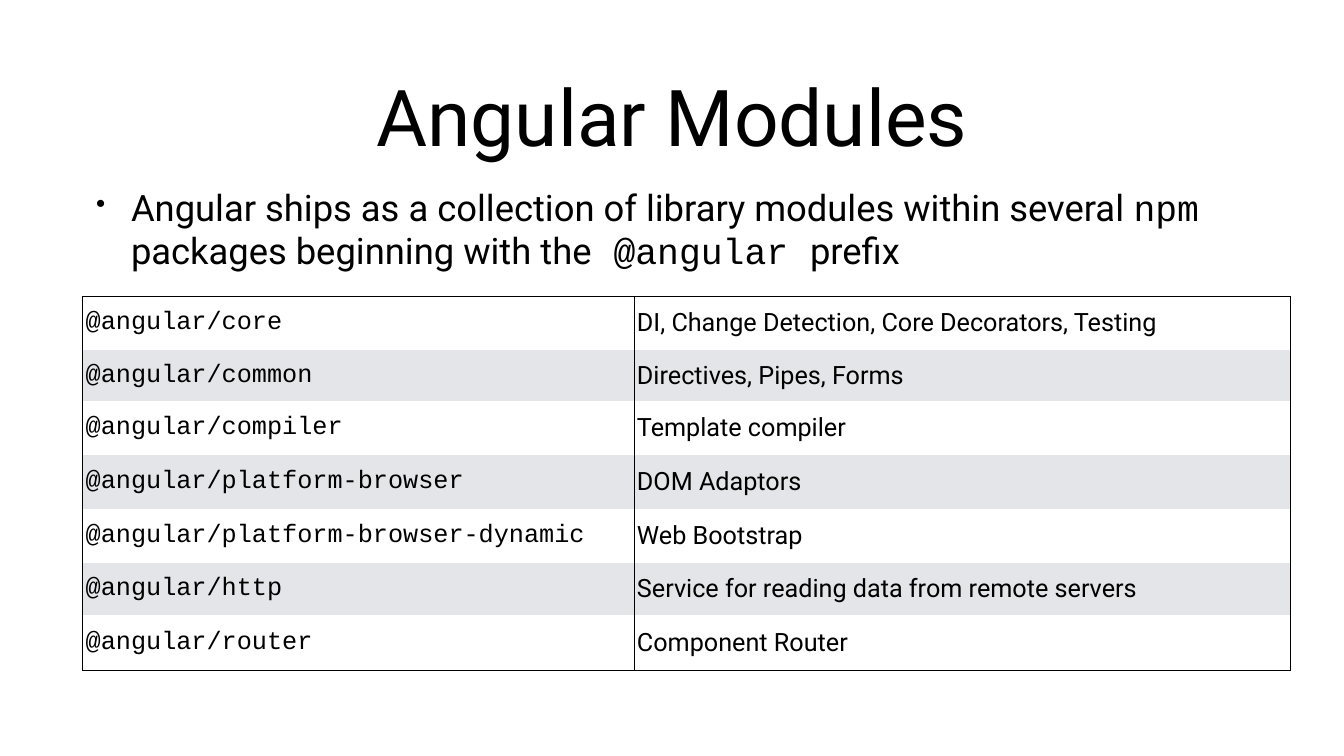
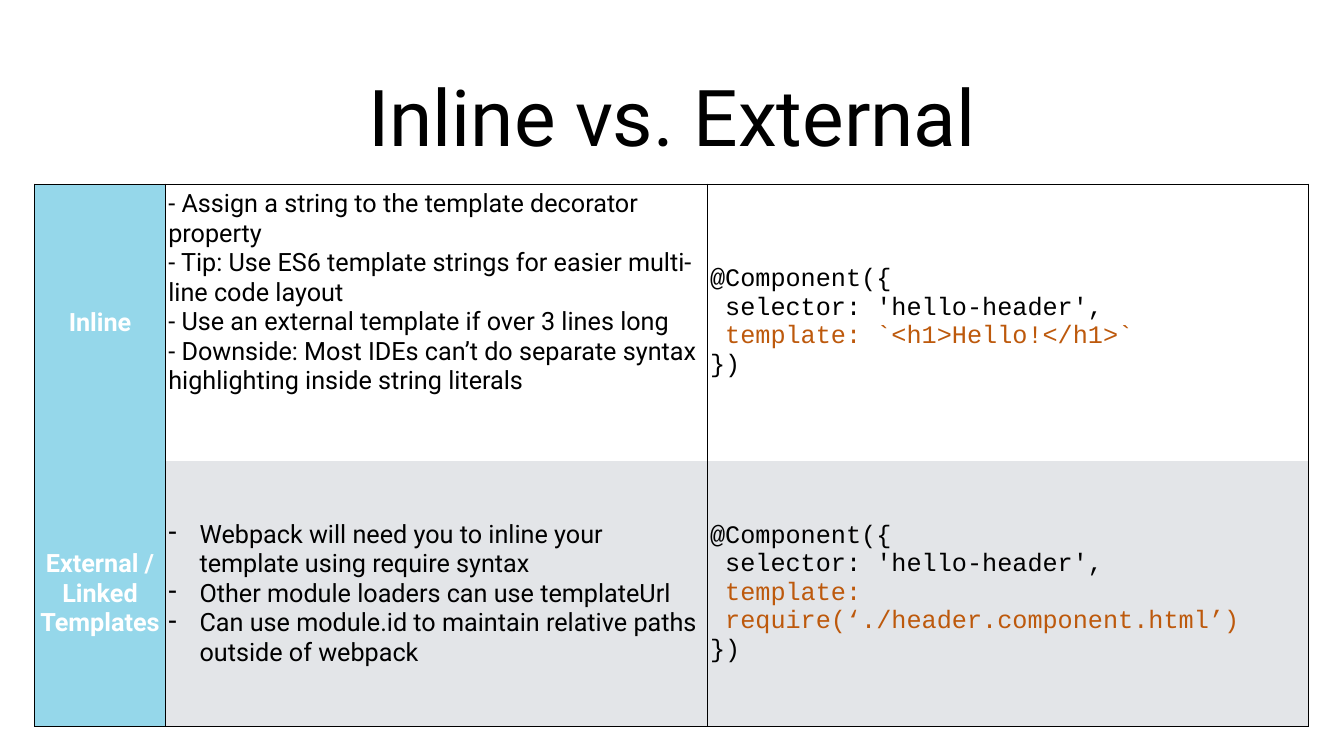
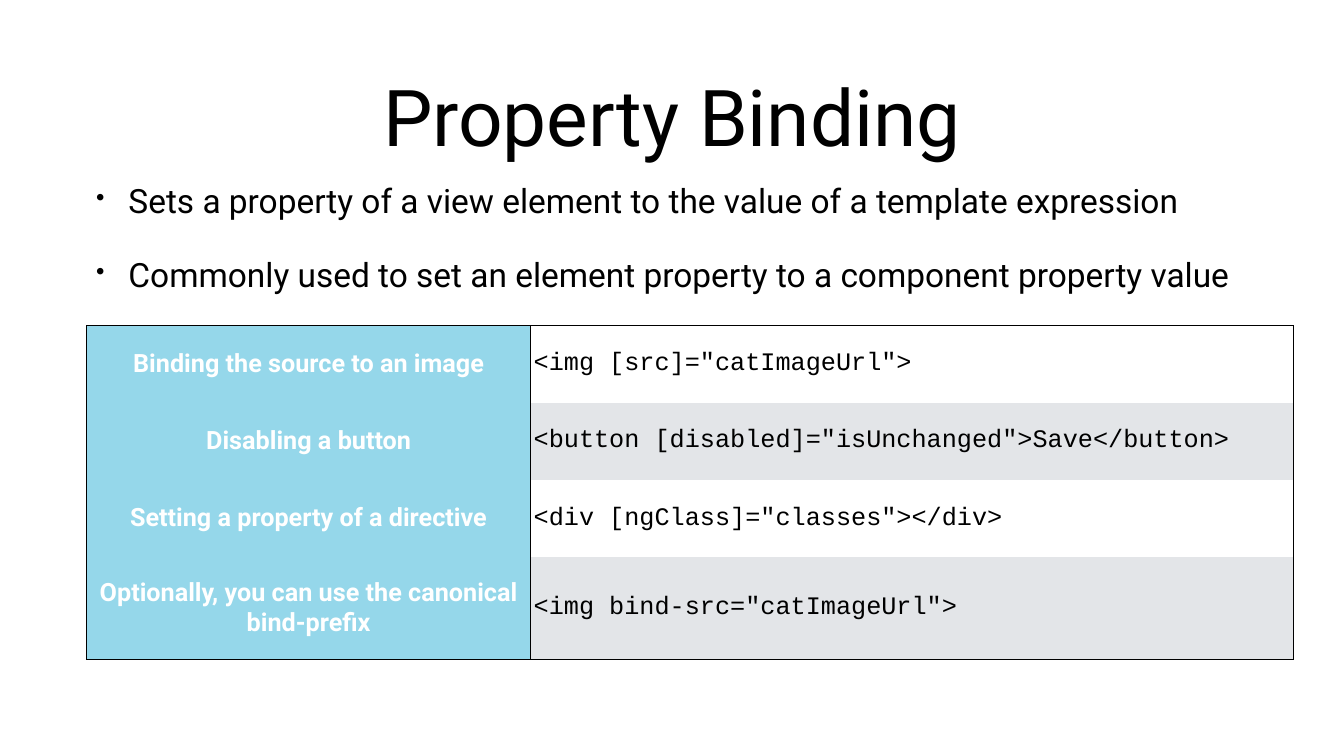
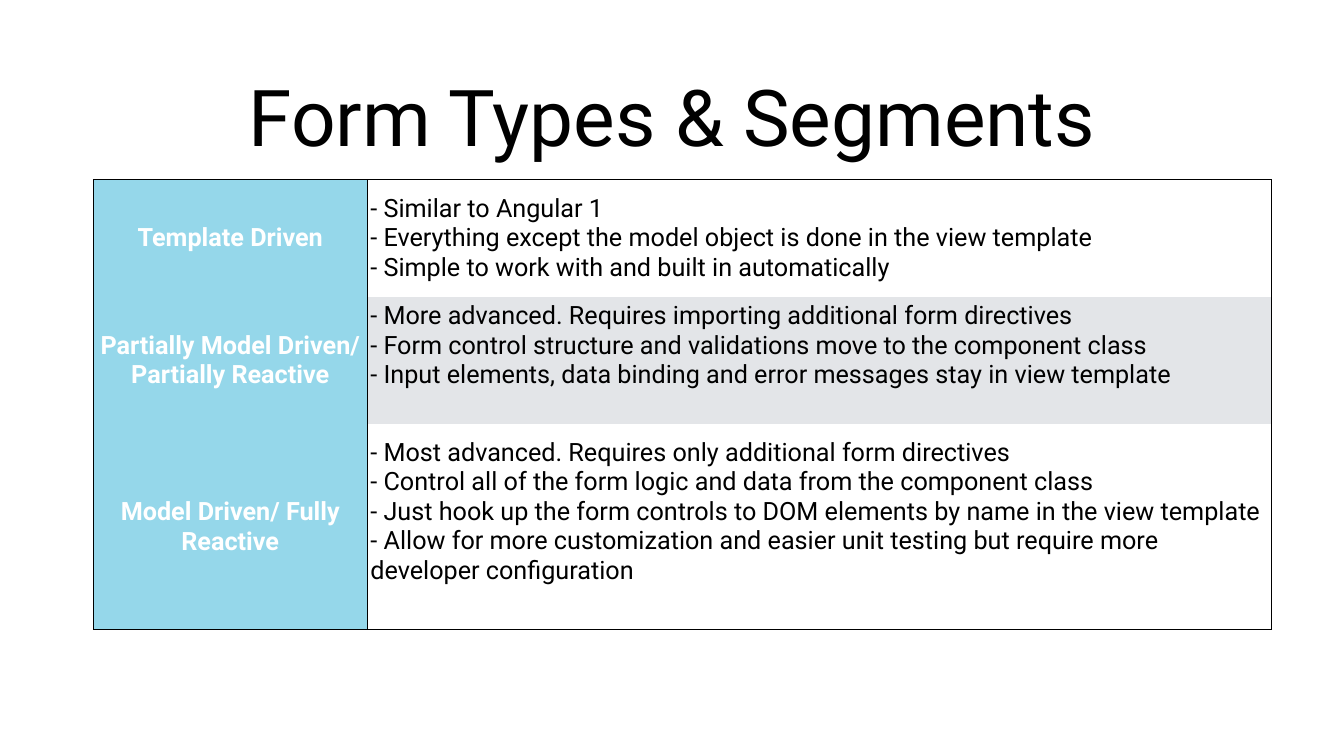
from lxml.etree import SubElement as Sub
from pptx import Presentation
from pptx.dml.color import RGBColor
from pptx.enum.text import MSO_ANCHOR as Anchor, PP_ALIGN as Align
from pptx.oxml.ns import qn
from pptx.util import Inches, Pt

BLACK, WHITE, GREY, BLUE, RUST = "000000", "FFFFFF", "E3E5E8", "95D7EA", "BD590C"
SANS, MONO = "Roboto", "Courier New"
PAD = 0.06
LINE = 0.59  # height of one line of table text
LEFT, WIDE = 1.85, 22.97  # column shared by titles and bullets

PLAIN = dict(size=36)
CODE = dict(size=36, font=MONO)
HEAD = dict(size=36, color=WHITE, bold=True, align=Align.CENTER, fill=BLUE)


def rgb(code):
    return RGBColor.from_string(code)


def add_bullet(para, mark, hang, scale):
    props = para._p.get_or_add_pPr()
    props.set("marL", str(Inches(hang)))
    props.set("indent", str(-Inches(hang)))
    Sub(props, qn("a:buSzPct"), val=str(scale * 1000))
    Sub(props, qn("a:buChar"), char=mark)


def write(frame, text, size=36, font=SANS, color=BLACK, bold=False,
          align=Align.LEFT, mark=None, hang=0, scale=100, gap=0, lead=None):
    """Fill a frame; text is a string of lines, or a list of lines made of (text, format) runs."""
    lines = text.split("\n") if isinstance(text, str) else text
    for i, line in enumerate(lines):
        para = frame.add_paragraph() if i else frame.paragraphs[0]
        para.alignment = align
        if mark:
            add_bullet(para, mark, hang, scale)
        if i and gap:
            para.space_before = Pt(gap)
        if lead:
            para.line_spacing = lead
        for part, style in [(line, {})] if isinstance(line, str) else line:
            run = para.add_run()
            run.text = part
            run.font.size = Pt(size)
            run.font.bold = bold
            run.font.name = style.get("font", font)
            run.font.color.rgb = rgb(style.get("color", color))


def add_text(slide, box, text, **style):
    frame = slide.shapes.add_textbox(*map(Inches, box)).text_frame
    frame.word_wrap = True
    frame.vertical_anchor = Anchor.MIDDLE
    frame.margin_left = frame.margin_right = Inches(PAD)
    frame.margin_top = frame.margin_bottom = Inches(PAD)
    write(frame, text, **style)


def add_page(deck, title):
    slide = deck.slides.add_slide(deck.slide_layouts[6])
    slide.background.fill.solid()
    slide.background.fill.fore_color.rgb = rgb(WHITE)
    add_text(slide, (LEFT, 1.04, WIDE, 2.5), title, size=112, align=Align.CENTER)
    return slide


def add_points(slide, high, text, **style):
    add_text(slide, (LEFT, 3.54, WIDE, high), text, mark="•", scale=75, **style)


def set_edges(cell, first, last):
    """Rule the sides of a cell, and the top or bottom at the ends of the table."""
    props = cell._tc.get_or_add_tcPr()
    for side, drawn in (("L", True), ("R", True), ("T", first), ("B", last)):
        edge = Sub(props, qn("a:ln" + side), w=str(Pt(1)))
        if drawn:
            fill = Sub(edge, qn("a:solidFill"))
            Sub(fill, qn("a:srgbClr"), val=BLACK)
        else:
            Sub(edge, qn("a:noFill"))


def fill_cell(cell, item, style, band):
    """Item is the text, or a pair of text and format; foot is spare room below, in lines."""
    text, extra = item if isinstance(item, tuple) else (item, {})
    style = {"fill": band, "foot": 0, **style, **extra}
    cell.fill.solid()
    cell.fill.fore_color.rgb = rgb(style.pop("fill"))
    cell.vertical_anchor = Anchor.MIDDLE
    cell.margin_left = cell.margin_right = cell.margin_top = Inches(PAD)
    cell.margin_bottom = Inches(PAD + LINE * style.pop("foot"))
    write(cell.text_frame, text, **style)


def add_grid(slide, left, top, cols, highs, styles, rows):
    box = map(Inches, (left, top, sum(cols), sum(highs)))
    grid = slide.shapes.add_table(len(rows), len(cols), *box).table
    grid.first_row = grid.horz_banding = False
    for col, wide in zip(grid.columns, cols):
        col.width = Inches(wide)
    for r, (row, high) in enumerate(zip(rows, highs)):
        grid.rows[r].height = Inches(high)
        for c, (item, style) in enumerate(zip(row, styles)):
            cell = grid.cell(r, c)
            set_edges(cell, r == 0, r == len(rows) - 1)
            fill_cell(cell, item, style, GREY if r % 2 else WHITE)


def add_modules(deck):
    slide = add_page(deck, "Angular Modules")
    mono = dict(font=MONO)
    add_points(slide, 1.99, [[
        ("Angular ships as a collection of library modules within several ", {}),
        ("npm", mono), (" packages beginning with the", {}),
        (" @angular ", mono), ("prefix", {})]], size=52, hang=0.69)
    add_grid(slide, 1.64, 5.88, (10.94, 13.03),
             (1.06, 1.02, 1.06, 1.08, 1.07, 1.04, 1.1), (CODE, PLAIN), [
        ("@angular/core", "DI, Change Detection, Core Decorators, Testing"),
        ("@angular/common", "Directives, Pipes, Forms"),
        ("@angular/compiler", "Template compiler"),
        ("@angular/platform-browser", "DOM Adaptors"),
        ("@angular/platform-browser-dynamic", "Web Bootstrap"),
        ("@angular/http", "Service for reading data from remote servers"),
        ("@angular/router", "Component Router")])


def list_code(*lines):
    """Component code with the given template lines picked out."""
    picked = [[(" ", {}), (line, dict(color=RUST))] for line in lines]
    return ["@Component({", " selector: 'hello-header',", *picked, "})"]


def add_inline(deck):
    slide = add_page(deck, "Inline vs. External")
    add_grid(slide, 0.69, 3.65, (2.59, 10.75, 11.94), (5.38, 5.26),
             (HEAD, PLAIN, CODE), [
        ("Inline",
         ("- Assign a string to the template decorator property\n"
          "- Tip: Use ES6 template strings for easier multi-line code layout\n"
          "- Use an external template if over 3 lines long\n"
          "- Downside: Most IDEs can’t do separate syntax highlighting "
          "inside string literals", dict(foot=2)),
         list_code("template: `<h1>Hello!</h1>`")),
        ("External / Linked Templates",
         ("Webpack will need you to inline your template using require syntax\n"
          "Other module loaders can use templateUrl\n"
          "Can use module.id to maintain relative paths outside of webpack",
          dict(mark="-", hang=0.62)),
         list_code("template:", "require(‘./header.component.html’)"))])


def add_binding(deck):
    slide = add_page(deck, "Property Binding")
    add_points(slide, 2.43,
               "Sets a property of a view element to the value of a template expression\n"
               "Commonly used to set an element property to a component property value",
               size=47.8, hang=0.64, gap=54, lead=0.9)
    add_grid(slide, 1.72, 6.46, (8.81, 15.14), (1.53, 1.53, 1.53, 2.03), (HEAD, CODE), [
        ("Binding the source to an image", '<img [src]="catImageUrl">'),
        ("Disabling a button", '<button [disabled]="isUnchanged">Save</button>'),
        ("Setting a property of a directive", '<div [ngClass]="classes"></div>'),
        ("Optionally, you can use the canonical bind-prefix",
         '<img bind-src="catImageUrl">')])


def add_forms(deck):
    slide = add_page(deck, "Form Types & Segments")
    add_grid(slide, 1.85, 3.56, (5.44, 17.94), (2.34, 2.46, 4.08), (HEAD, PLAIN), [
        ("Template Driven",
         "- Similar to Angular 1\n"
         "- Everything except the model object is done in the view template\n"
         "- Simple to work with and built in automatically"),
        ("Partially Model Driven/ Partially Reactive",
         ("- More advanced. Requires importing additional form directives\n"
          "- Form control structure and validations move to the component class\n"
          "- Input elements, data binding and error messages stay in view template",
          dict(foot=1))),
        ("Model Driven/ Fully Reactive",
         ("- Most advanced. Requires only additional form directives\n"
          "- Control all of the form logic and data from the component class\n"
          "- Just hook up the form controls to DOM elements by name in the view template\n"
          "- Allow for more customization and easier unit testing but require more "
          "developer configuration", dict(foot=1)))])


def main():
    deck = Presentation()
    deck.slide_width, deck.slide_height = Inches(26.67), Inches(15)
    for add in (add_modules, add_inline, add_binding, add_forms):
        add(deck)
    deck.save("out.pptx")


if __name__ == "__main__":
    main()
